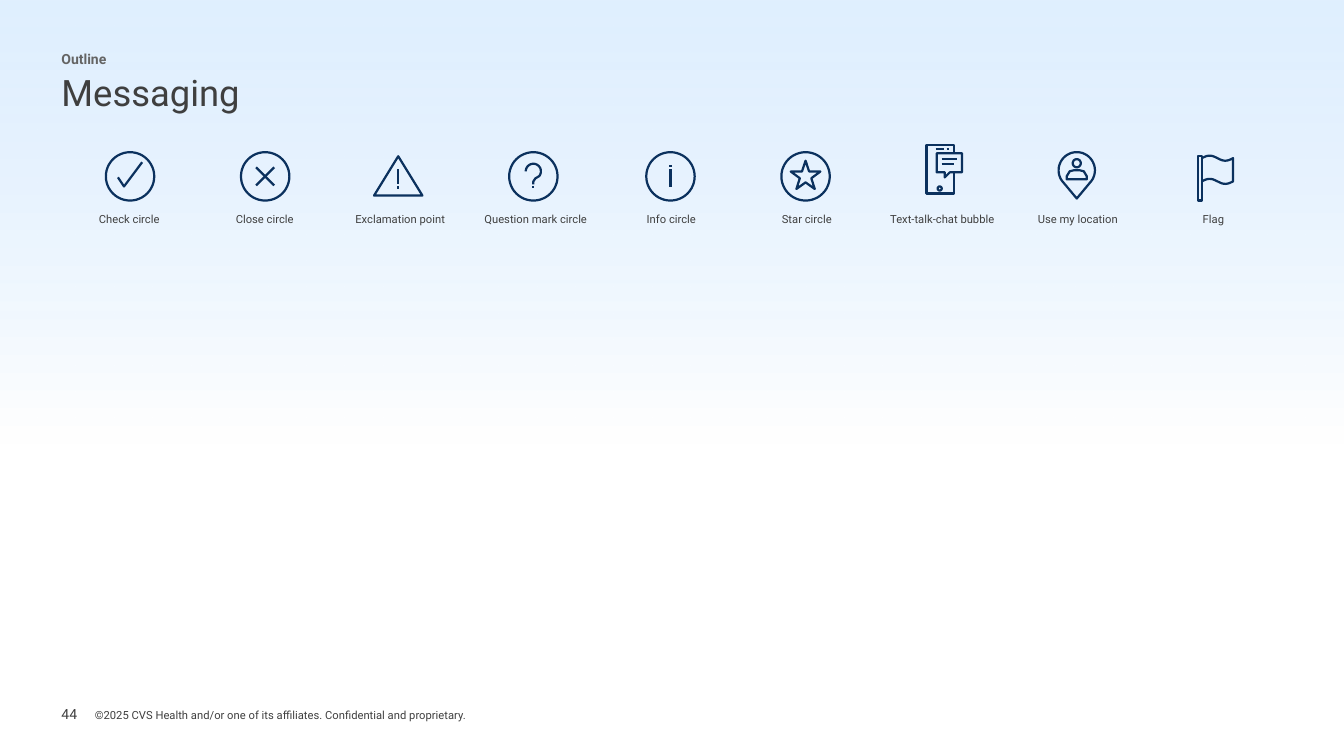
from dataclasses import dataclass
from math import cos, pi, radians, sin

from lxml.etree import SubElement
from pptx import Presentation
from pptx.dml.color import RGBColor
from pptx.enum.shapes import MSO_SHAPE
from pptx.enum.text import MSO_ANCHOR, PP_ALIGN
from pptx.oxml.ns import qn
from pptx.slide import Slide
from pptx.text.text import TextFrame, _Paragraph
from pptx.util import Inches, Pt

Point = tuple[float, float]


@dataclass(frozen=True)
class Theme:
    """Colours, font and type sizes of the slide."""
    ink: RGBColor = RGBColor(0x3F, 0x3F, 0x3F)
    muted: RGBColor = RGBColor(0x64, 0x64, 0x64)
    navy: RGBColor = RGBColor(0x0B, 0x31, 0x5E)
    sky: RGBColor = RGBColor(0xCC, 0xE6, 0xFF)
    white: RGBColor = RGBColor(0xFF, 0xFF, 0xFF)
    font: str = "Roboto"
    title: float = 26
    small: float = 10
    caption: float = 8
    stroke: float = 1.6


@dataclass(frozen=True)
class Contour:
    """One stroke of an icon, in inches from the icon centre."""
    points: list[Point]
    closed: bool = False


@dataclass(frozen=True)
class Icon:
    """A labelled outline icon and its horizontal centre."""
    label: str
    centre: float
    contours: list[Contour]


THEME = Theme()
ICON_MIDDLE = 1.75
ROWS = 5
NO_GRID_STYLE = "{2D5ABB26-0587-4C30-8999-92F81FD0307C}"


def arc(x: float, y: float, radius: float, start: float, end: float) -> list[Point]:
    """Return points on an arc, with angles in degrees clockwise from the right."""
    steps = 48
    angles = [radians(start + (end - start) * i / steps) for i in range(steps + 1)]
    return [(x + radius * cos(a), y + radius * sin(a)) for a in angles]


def circle(x: float = 0, y: float = 0, radius: float = 0.24) -> Contour:
    """Return a closed circle."""
    return Contour(arc(x, y, radius, 0, 360)[:-1], True)


def stroke(*points: Point) -> Contour:
    """Return an open line."""
    return Contour(list(points))


def outline(*points: Point) -> Contour:
    """Return a closed polygon."""
    return Contour(list(points), True)


def star() -> Contour:
    """Return a five-pointed star."""
    radii = (0.155, 0.06)
    return outline(*[(radii[i % 2] * sin(i * pi / 5), -radii[i % 2] * cos(i * pi / 5))
                     for i in range(10)])


def wave(y: float) -> list[Point]:
    """Return one wavy edge of the flag."""
    steps = 24
    return [(-0.13 + 0.31 * i / steps, y - 0.025 * sin(2 * pi * i / steps))
            for i in range(steps + 1)]


LOWER_DOT = stroke((0, 0.1), (0, 0.12))

ICONS = [
    Icon("Check circle", 1.29, [
        circle(), stroke((-0.12, 0.01), (-0.06, 0.1), (0.12, -0.14))]),
    Icon("Close circle", 2.63, [
        circle(), stroke((-0.09, -0.09), (0.09, 0.09)), stroke((-0.09, 0.09), (0.09, -0.09))]),
    Icon("Exclamation point", 3.95, [
        outline((0, -0.2), (0.24, 0.19), (-0.24, 0.19)),
        stroke((0, -0.07), (0, 0.08)), LOWER_DOT]),
    Icon("Question mark circle", 5.29, [
        circle(), stroke(*arc(0, -0.05, 0.075, 180, 400), (0.02, 0.02), (0, 0.05), (0, 0.08)),
        LOWER_DOT]),
    Icon("Info circle", 6.65, [
        circle(), stroke((0, -0.07), (0, 0.11)), stroke((0, -0.11), (0, -0.09))]),
    Icon("Star circle", 7.99, [circle(), star()]),
    Icon("Text-talk-chat bubble", 9.36, [
        stroke((0.1, -0.23), (0.1, -0.31), (-0.17, -0.31), (-0.17, 0.17), (0.1, 0.17), (0.1, -0.04)),
        outline((-0.07, -0.23), (0.18, -0.23), (0.18, -0.04), (0.06, -0.04),
                (0.01, 0.01), (0.01, -0.04), (-0.07, -0.04)),
        stroke((-0.02, -0.17), (0.13, -0.17)), stroke((-0.02, -0.12), (0.1, -0.12)),
        stroke((-0.08, -0.27), (0, -0.27)), stroke((0.03, -0.27), (0.05, -0.27)),
        circle(-0.04, 0.12, 0.02)]),
    Icon("Use my location", 10.68, [
        outline(*arc(0, -0.06, 0.18, 145, 395), (0, 0.22)),
        circle(0, -0.13, 0.04),
        outline((-0.1, 0.03), (-0.1, 0), (-0.07, -0.05), (-0.03, -0.06),
                (0.03, -0.06), (0.07, -0.05), (0.1, 0), (0.1, 0.03))]),
    Icon("Flag", 12.05, [
        outline((-0.17, -0.2), (-0.13, -0.2), (-0.13, 0.24), (-0.17, 0.24)),
        stroke(*wave(-0.18), *reversed(wave(0.05)))]),
]


def style(paragraph: _Paragraph, size: float) -> None:
    """Set the font of a paragraph."""
    paragraph.font.name = THEME.font
    paragraph.font.size = Pt(size)
    paragraph.font.color.rgb = THEME.ink


def add_text_frame(slide: Slide, left: float, top: float, width: float, height: float,
                   anchor: MSO_ANCHOR) -> TextFrame:
    """Add a wrapping text box without margins."""
    frame = slide.shapes.add_textbox(
        Inches(left), Inches(top), Inches(width), Inches(height)).text_frame
    frame.word_wrap = True
    frame.vertical_anchor = anchor
    frame.margin_left = frame.margin_right = frame.margin_top = frame.margin_bottom = 0
    return frame


def add_footer(slide: Slide) -> None:
    """Add the page number and the copyright line."""
    number = add_text_frame(slide, 0.61, 6.96, 0.39, 0.25, MSO_ANCHOR.MIDDLE).paragraphs[0]
    number.text = "44"
    style(number, THEME.small)
    rights = add_text_frame(slide, 0.94, 7.03, 8.8, 0.13, MSO_ANCHOR.BOTTOM).paragraphs[0]
    rights.text = "©2025 CVS Health and/or one of its affiliates. Confidential and proprietary."
    style(rights, THEME.caption)


def add_sky(slide: Slide) -> None:
    """Add the gradient that fades down to white."""
    sky = slide.shapes.add_shape(MSO_SHAPE.RECTANGLE, 0, 0, Inches(13.33), Inches(4.4))
    sky.shadow.inherit = False
    sky.line.fill.background()
    sky.fill.gradient()
    sky.fill.gradient_angle = 270
    for stop, colour in zip(sky.fill.gradient_stops, (THEME.sky, THEME.white)):
        stop.color.rgb = colour
    top_colour = next(sky.element.spPr.iter(qn("a:srgbClr")))
    SubElement(top_colour, qn("a:alpha"), val="60000")


def add_title(slide: Slide) -> None:
    """Add the section name above the title."""
    title = add_text_frame(slide, 0.61, 0.49, 10.57, 0.78, MSO_ANCHOR.TOP).paragraphs[0]
    title.line_spacing = 1.07
    style(title, THEME.title)
    section = title.add_run()
    section.text = "Outline"
    section.font.size = Pt(THEME.small)
    section.font.bold = True
    section.font.color.rgb = THEME.muted
    title.add_line_break()
    title.add_run().text = "Messaging"


def add_labels(slide: Slide) -> None:
    """Add the table that holds the icon labels."""
    labels = slide.shapes.add_table(
        ROWS, len(ICONS), Inches(0.61), Inches(1.28), Inches(12.1), Inches(5.19)).table
    labels.first_row = labels.horz_banding = False
    next(labels._tbl.iter(qn("a:tableStyleId"))).text = NO_GRID_STYLE
    for cell in labels.iter_cells():
        cell.fill.background()
    for column, icon in enumerate(ICONS):
        cell = labels.cell(0, column)
        cell.vertical_anchor = MSO_ANCHOR.BOTTOM
        cell.margin_left = cell.margin_right = Inches(0.14)
        cell.margin_top = cell.margin_bottom = Inches(0.07)
        label = cell.text_frame.paragraphs[0]
        label.text = icon.label
        label.alignment = PP_ALIGN.CENTER
        style(label, THEME.caption)


def add_icon(slide: Slide, icon: Icon) -> None:
    """Draw all strokes of an icon as one freeform."""
    strokes = [[(Inches(icon.centre + x), Inches(ICON_MIDDLE + y)) for x, y in contour.points]
               for contour in icon.contours]
    builder = slide.shapes.build_freeform(*strokes[0][0])
    for contour, points in zip(icon.contours, strokes):
        if points is not strokes[0]:
            builder.move_to(*points[0])
        builder.add_line_segments(points[1:], close=contour.closed)
    drawing = builder.convert_to_shape()
    drawing.shadow.inherit = False
    drawing.fill.background()
    drawing.line.color.rgb = THEME.navy
    drawing.line.width = Pt(THEME.stroke)


def main() -> None:
    """Build the slide and save it."""
    deck = Presentation()
    deck.slide_width, deck.slide_height = Inches(13.33), Inches(7.5)
    slide = deck.slides.add_slide(deck.slide_layouts[6])
    add_footer(slide)
    add_sky(slide)
    add_title(slide)
    add_labels(slide)
    for icon in ICONS:
        add_icon(slide, icon)
    deck.save("out.pptx")


if __name__ == "__main__":
    main()
